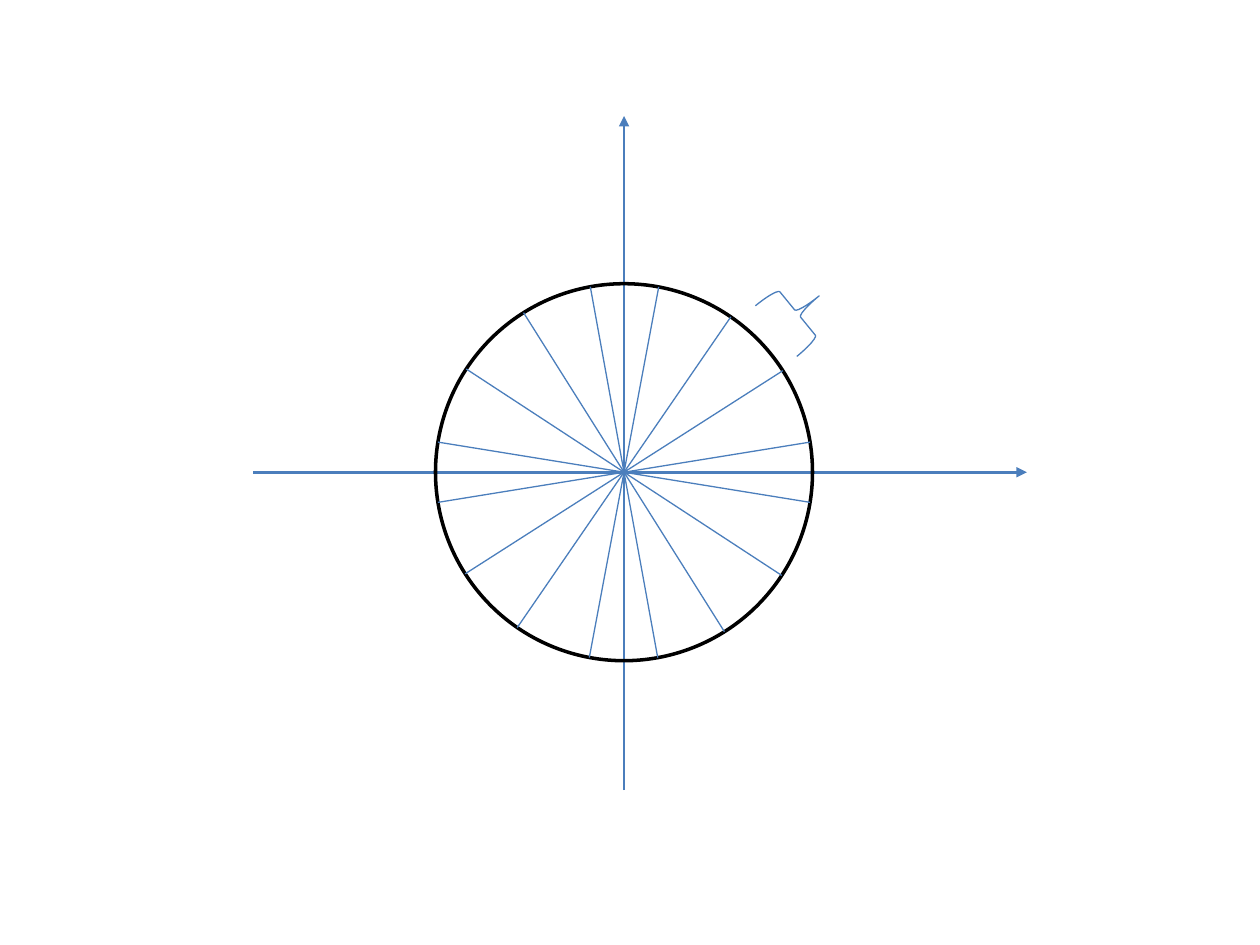
from math import cos, radians, sin

from lxml.etree import SubElement
from pptx import Presentation
from pptx.dml.color import RGBColor
from pptx.enum.shapes import MSO_CONNECTOR as Connector, MSO_SHAPE as Shape
from pptx.oxml.ns import qn
from pptx.util import Cm, Pt

COLOURS = {"page": "FFFFFF", "line": "4B7EBC", "circle": "000000"}
SPOKE_ANGLES = (9.2, 32.6, 55.5, 79.4, 100.3, 122.2, 146.8, 170.8)


def style_line(line, colour, width):
    line.color.rgb = RGBColor.from_string(COLOURS[colour])
    line.width = Pt(width)


def add_line(page, start, end, width):
    points = [Cm(value) for value in (*start, *end)]
    connector = page.shapes.add_connector(Connector.STRAIGHT, *points)
    style_line(connector.line, "line", width)
    SubElement(connector._element.spPr, qn("a:effectLst"))
    return connector


def add_outline(page, kind, box, colour, width):
    shape = page.shapes.add_shape(kind, *[Cm(value) for value in box])
    shape.shadow.inherit = False
    shape.fill.background()
    style_line(shape.line, colour, width)
    return shape


def add_axes(page, box, origin):
    left, top, width, height = box
    x, y = origin
    for start, end in (
        ((left, y), (left + width, y)),
        ((x, top + height), (x, top)),
    ):
        axis = add_line(page, start, end, 1.5)
        SubElement(axis.line._get_or_add_ln(), qn("a:tailEnd"), type="triangle")


def add_wheel(page, box):
    left, top, size, _ = box
    radius = size / 2
    x, y = left + radius, top + radius
    add_outline(page, Shape.OVAL, box, "circle", 2)
    for angle in SPOKE_ANGLES:
        dx = radius * cos(radians(angle))
        dy = radius * sin(radians(angle))
        add_line(page, (x + dx, y - dy), (x - dx, y + dy), 0.75)


def add_sector_brace(page, box):
    brace = add_outline(page, Shape.RIGHT_BRACE, box, "line", 0.75)
    brace.rotation = 320.7


def main():
    deck = Presentation()
    deck.slide_width, deck.slide_height = Cm(25.4), Cm(19.05)
    page = deck.slides.add_slide(deck.slide_layouts[6])
    page.background.fill.solid()
    page.background.fill.fore_color.rgb = RGBColor.from_string(COLOURS["page"])
    add_axes(page, (5.11, 2.34, 15.59, 13.59), (12.58, 9.52))
    add_wheel(page, (8.78, 5.72, 7.6, 7.6))
    add_sector_brace(page, (15.52, 5.66, 1.12, 1.32))
    deck.save("out.pptx")


if __name__ == "__main__":
    main()
